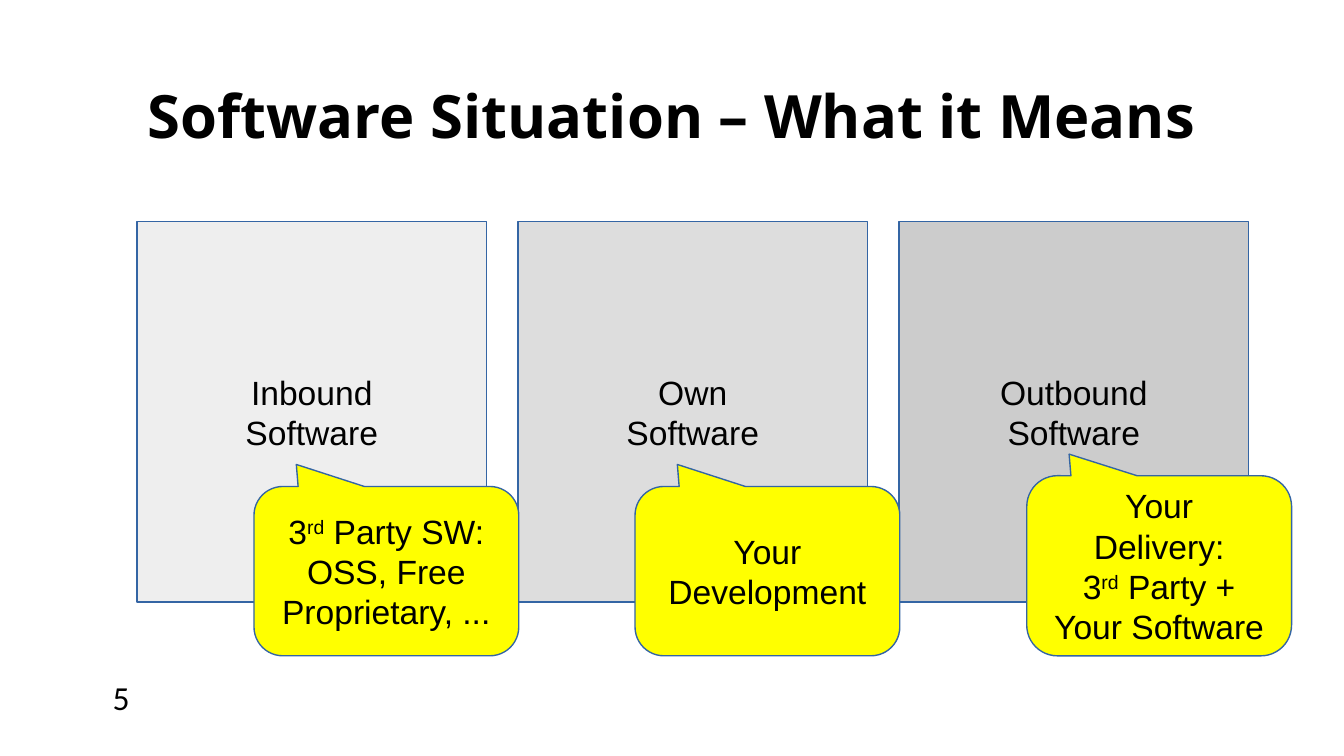
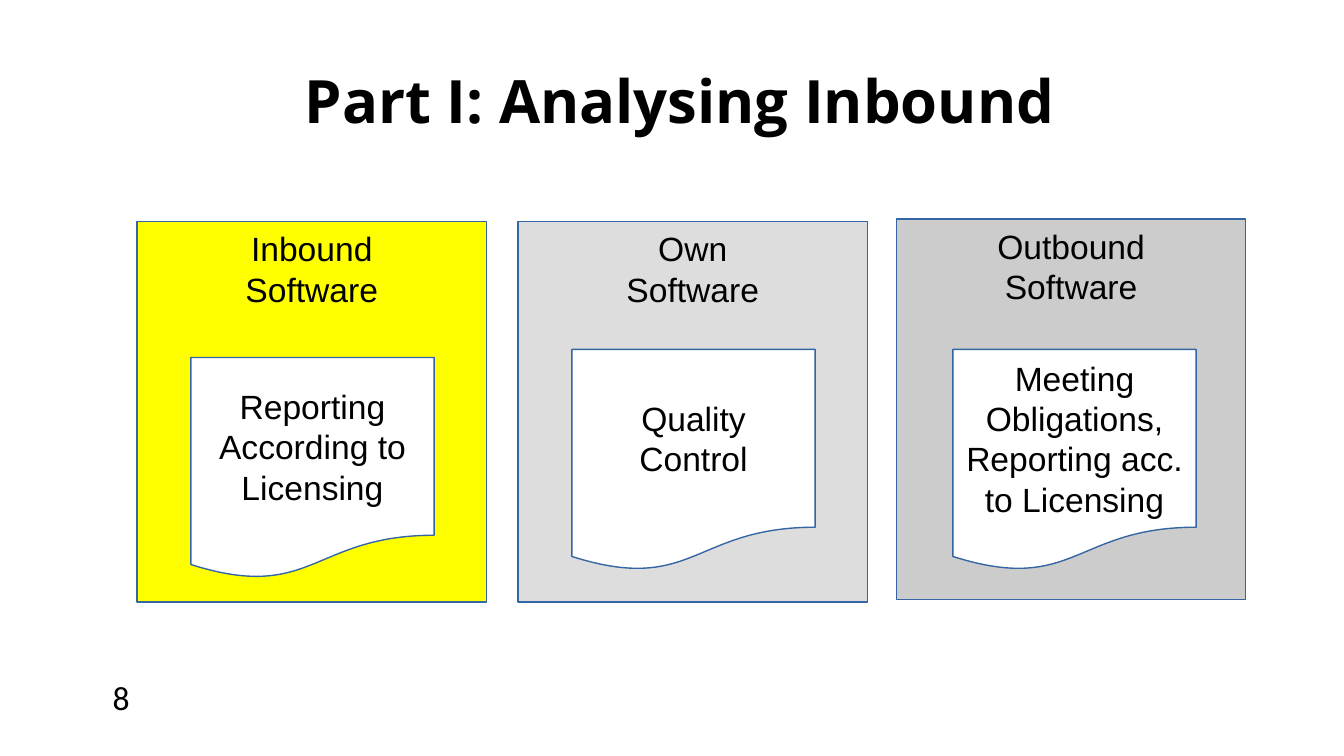
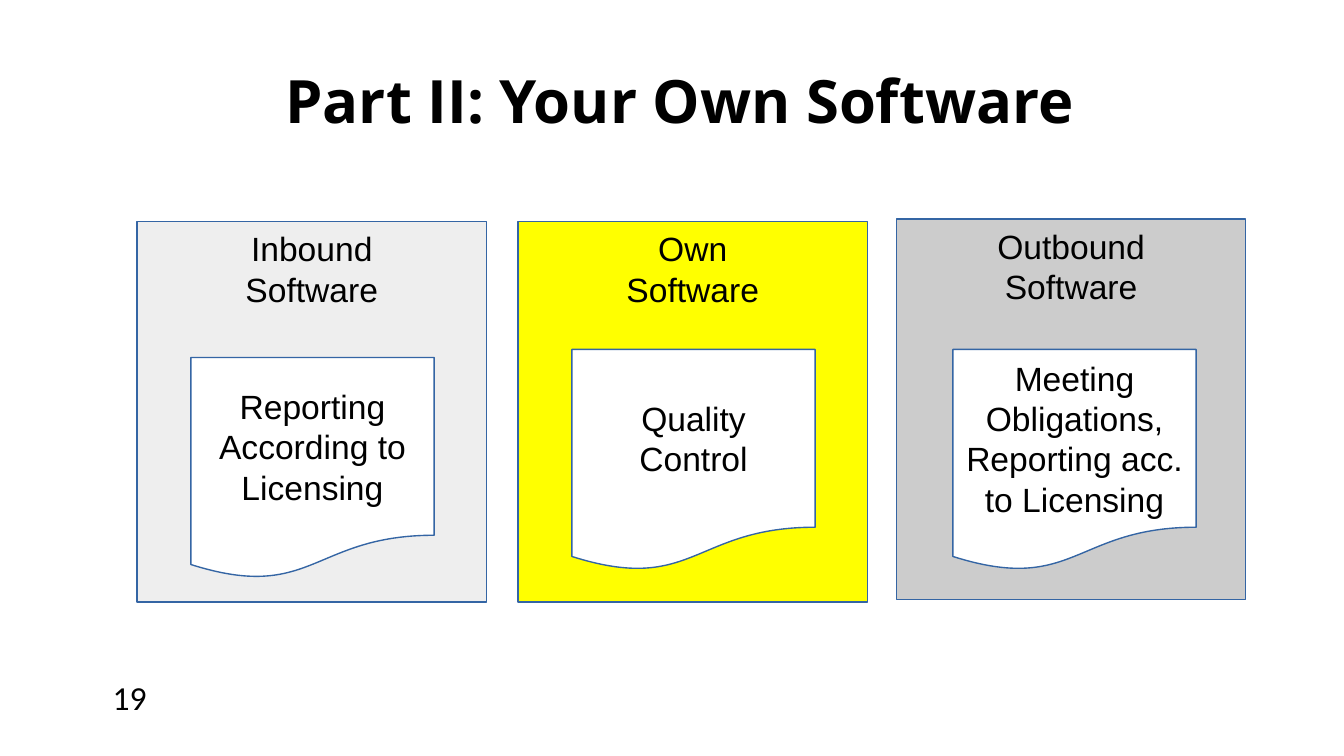
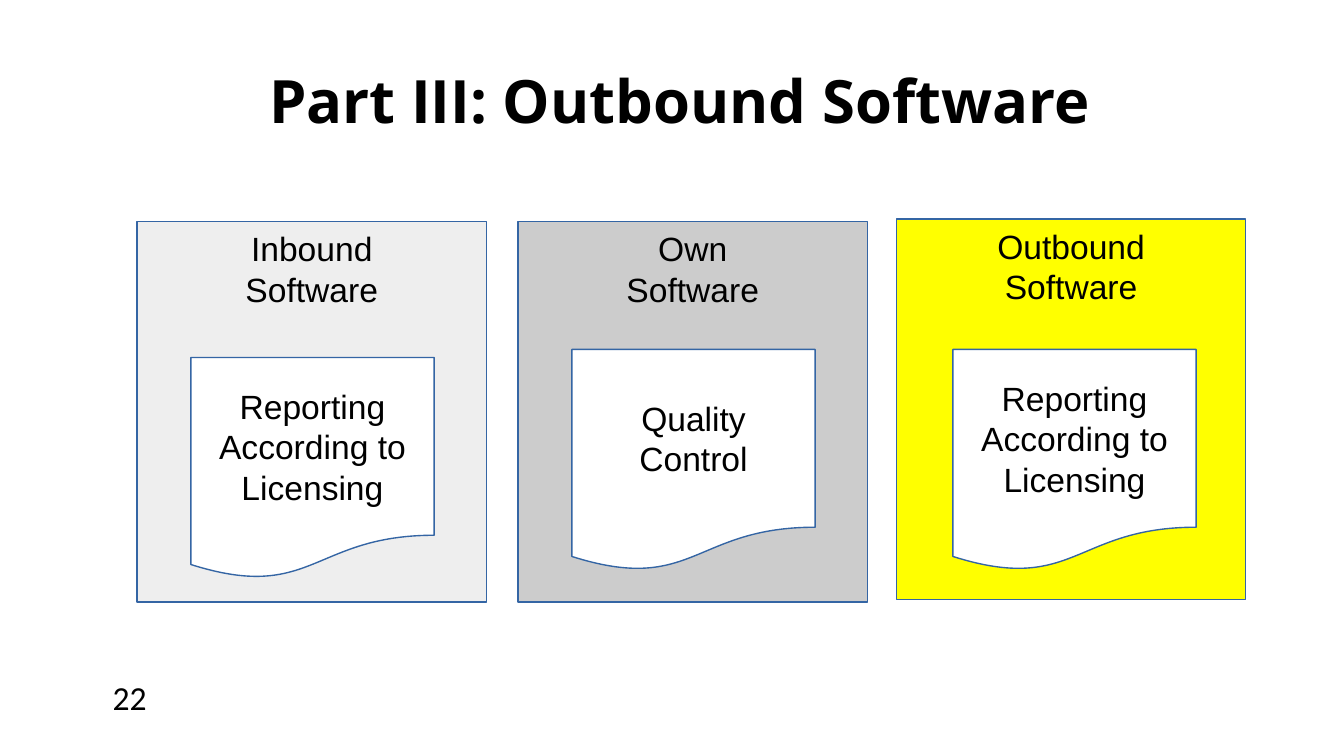
"""Build four slides on inbound, own and outbound software."""
from pptx import Presentation
from pptx.dml.color import RGBColor
from pptx.enum.shapes import MSO_SHAPE as Preset
from pptx.enum.text import MSO_ANCHOR as Anchor, MSO_AUTO_SIZE as AutoSize, PP_ALIGN as Align
from pptx.util import Inches, Pt

COLORS = {"text": "000000", "outline": "3465A4", "highlight": "FFFF00", "paper": "FFFFFF",
          "light": "EEEEEE", "medium": "DDDDDD", "dark": "CCCCCC"}

STAGES = [["Inbound", "Software"], ["Own", "Software"], ["Outbound\nSoftware"]]
REPORTING = ["Reporting\nAccording to\nLicensing"]
QUALITY = ["Quality\nControl"]
OBLIGATIONS = ["Meeting\nObligations,", "Reporting acc.\nto Licensing"]

OVERVIEW = {
    "title": "Software Situation – What it Means", "number": "5",
    "fills": ["light", "medium", "dark"],
    "callouts": [["3^rd^ Party SW:\nOSS, Free", "Proprietary, ..."],
                 ["Your\nDevelopment"],
                 ["Your\nDelivery:", "3^rd^ Party +\nYour Software"]],
}
PARTS = [
    {"title": "Part I: Analysing Inbound", "number": "8",
     "fills": ["highlight", "medium", "dark"],
     "documents": [REPORTING, QUALITY, OBLIGATIONS]},
    {"title": "Part II: Your Own Software", "number": "19",
     "fills": ["light", "highlight", "dark"],
     "documents": [REPORTING, QUALITY, OBLIGATIONS]},
    {"title": "Part III: Outbound Software", "number": "22",
     "fills": ["light", "dark", "highlight"],
     "documents": [REPORTING, QUALITY, REPORTING]},
]

FIRST_LEFT, LAST_LEFT = 1.02, 6.69
PITCH = (LAST_LEFT - FIRST_LEFT) / 2
STAGE_TOP, STAGE_SIZE = 1.65, (2.6, 2.83)
LAST_SHIFT = (-0.02, -0.02)
CALLOUT_LEFTS = [1.89, 1.89 + PITCH, 7.64]
CALLOUT_TOPS = [3.62, 3.62, 3.54]
CALLOUT_WIDTH, CALLOUT_BOTTOM = 1.97, 4.88
CALLOUT_TIPS = [-0.63, -0.63, -0.62]
DOCUMENT_LEFT, DOCUMENT_TOPS = 1.42, [2.66, 2.6, 2.6]
DOCUMENT_SIZE = (1.81, 1.65)


def rgb(name):
    return RGBColor.from_string(COLORS[name])


def add_span(para, text, font, size, bold=False):
    span = para.add_run()
    span.text = text
    span.font.name = font
    span.font.size = Pt(size)
    span.font.bold = bold
    span.font.color.rgb = rgb("text")
    return span


def write(frame, paragraphs):
    """Fill a frame; a newline breaks the line and carets enclose a superscript."""
    for index, text in enumerate(paragraphs):
        para = frame.add_paragraph() if index else frame.paragraphs[0]
        para.alignment = Align.CENTER
        for row, line in enumerate(text.split("\n")):
            if row:
                para.add_line_break()
            for piece, words in enumerate(line.split("^")):
                span = add_span(para, words, "Arial", 18)
                if piece % 2:
                    span.font._element.set("baseline", "30000")


def add_box(page, preset, place, fill, paragraphs, anchor=Anchor.MIDDLE):
    box = page.shapes.add_shape(preset, *map(Inches, place))
    box.shadow.inherit = False
    box.fill.solid()
    box.fill.fore_color.rgb = rgb(fill)
    box.line.color.rgb = rgb("outline")
    box.line.width = Pt(0.75)
    frame = box.text_frame
    frame.word_wrap = True
    frame.margin_left = frame.margin_right = Inches(0.09)
    frame.vertical_anchor = anchor
    write(frame, paragraphs)
    return box


def add_page(deck, content, title_left, title_top):
    page = deck.slides.add_slide(deck.slide_layouts[5])
    title = page.shapes.title
    title.left, title.top = Inches(title_left), Inches(title_top)
    title.width, title.height = Inches(9), Inches(0.86)
    frame = title.text_frame
    frame.auto_size = AutoSize.NONE
    frame.word_wrap = True
    frame.vertical_anchor = Anchor.BOTTOM
    frame.margin_left = frame.margin_right = frame.margin_top = frame.margin_bottom = 0
    frame.paragraphs[0].alignment = Align.CENTER
    add_span(frame.paragraphs[0], content["title"], "Open Sans", 32, bold=True)

    number = page.shapes.add_textbox(*map(Inches, (0.74, 4.99, 2.33, 0.4)))
    number.text_frame.word_wrap = True
    add_span(number.text_frame.paragraphs[0], content["number"], "Calibri", 18)
    return page


def add_stages(page, fills, anchor, last_shift=(0, 0)):
    for index, (fill, label) in enumerate(zip(fills, STAGES)):
        shift_x, shift_y = last_shift if index == 2 else (0, 0)
        place = (FIRST_LEFT + index * PITCH + shift_x, STAGE_TOP + shift_y, *STAGE_SIZE)
        add_box(page, Preset.RECTANGLE, place, fill, label, anchor)


def add_overview(deck):
    page = add_page(deck, OVERVIEW, 0.5, 0.26)
    add_stages(page, OVERVIEW["fills"], Anchor.MIDDLE)
    for left, top, tip, label in zip(CALLOUT_LEFTS, CALLOUT_TOPS, CALLOUT_TIPS,
                                     OVERVIEW["callouts"]):
        place = (left, top, CALLOUT_WIDTH, CALLOUT_BOTTOM - top)
        callout = add_box(page, Preset.ROUNDED_RECTANGULAR_CALLOUT, place, "highlight", label)
        for index, value in enumerate((-0.34, tip, 0.17)):
            callout.adjustments[index] = value


def add_part(deck, part):
    page = add_page(deck, part, 0.56, 0.15)
    add_stages(page, part["fills"], Anchor.TOP, LAST_SHIFT)
    for index, (top, label) in enumerate(zip(DOCUMENT_TOPS, part["documents"])):
        place = (DOCUMENT_LEFT + index * PITCH, top, *DOCUMENT_SIZE)
        add_box(page, Preset.FLOWCHART_DOCUMENT, place, "paper", label)


def main():
    deck = Presentation()
    deck.slide_width = Inches(10)
    deck.slide_height = deck.slide_width * 9 // 16
    add_overview(deck)
    for part in PARTS:
        add_part(deck, part)
    deck.save("out.pptx")


if __name__ == "__main__":
    main()
